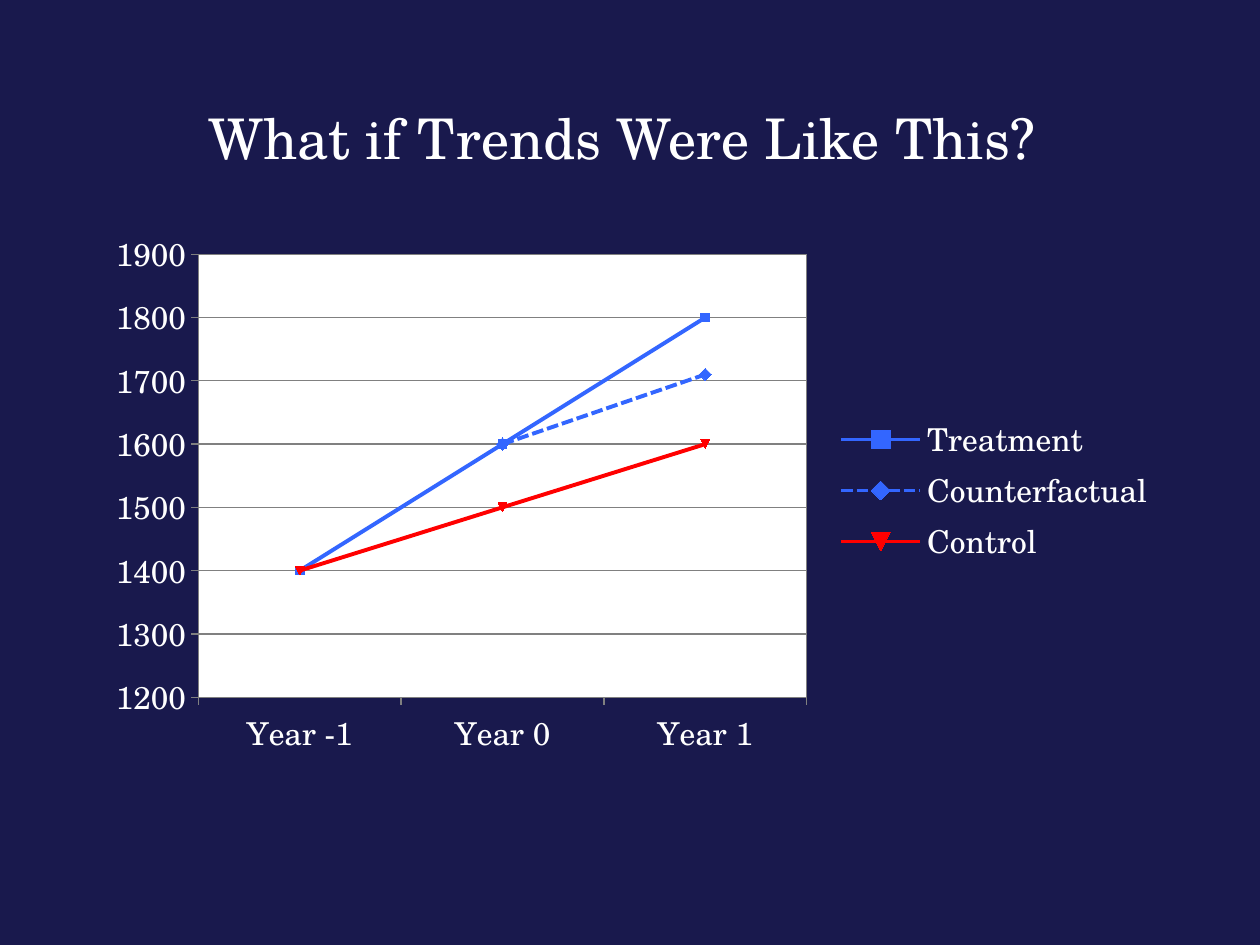
from dataclasses import dataclass
from typing import Optional

from lxml.etree import SubElement
from pptx import Presentation
from pptx.chart.data import CategoryChartData
from pptx.dml.color import RGBColor
from pptx.enum.chart import XL_CHART_TYPE as ChartType
from pptx.enum.chart import XL_LEGEND_POSITION as LegendPosition
from pptx.enum.chart import XL_MARKER_STYLE as Marker
from pptx.enum.chart import XL_TICK_MARK as Tick
from pptx.enum.dml import MSO_LINE as Dash
from pptx.enum.text import MSO_ANCHOR as Anchor
from pptx.enum.text import PP_ALIGN as Align
from pptx.oxml import parse_xml
from pptx.oxml.ns import nsdecls, qn
from pptx.util import Inches, Pt

NAVY = RGBColor(0x19, 0x19, 0x4D)
WHITE = RGBColor(0xFF, 0xFF, 0xFF)
BLUE = RGBColor(0x33, 0x66, 0xFF)
RED = RGBColor(0xFF, 0x00, 0x00)
GRAY = RGBColor(0x80, 0x80, 0x80)
FONT = "TeX Gyre Schola"


@dataclass
class Trend:
    name: str
    values: tuple[Optional[int], ...]
    color: RGBColor
    marker: Marker = Marker.AUTOMATIC
    marker_size: int = 5
    dash: Optional[Dash] = None


YEARS = ("Year -1", "Year 0", "Year 1")
TRENDS = (
    Trend("Treatment", (1400, 1600, 1800), BLUE),
    Trend("Counterfactual", (None, 1600, 1710), BLUE, Marker.DIAMOND, 7, Dash.SQUARE_DOT),
    Trend("Control", (1400, 1500, 1600), RED),
)


def place(shape, left: float, top: float, width: float, height: float) -> None:
    box = {"left": left, "top": top, "width": width, "height": height}
    for name, value in box.items():
        setattr(shape, name, Inches(value))


def style_font(font, size: float) -> None:
    for name, value in {"name": FONT, "size": Pt(size), "bold": False}.items():
        setattr(font, name, value)
    font.color.rgb = WHITE


def set_layout(parent, index: int, values: dict[str, object]) -> None:
    """Give a chart part a fixed place, in fractions of the chart."""
    for old in parent.findall(qn("c:layout")):
        parent.remove(old)
    layout = parse_xml(f"<c:layout {nsdecls('c')}/>")
    parent.insert(index, layout)
    manual = SubElement(layout, qn("c:manualLayout"))
    for name, value in values.items():
        SubElement(manual, qn(f"c:{name}")).set("val", str(value))


def style_trend(series, trend: Trend) -> None:
    series.smooth = False
    line = series.format.line
    line.width = Pt(2.25)
    line.color.rgb = trend.color
    if trend.dash is not None:
        line.dash_style = trend.dash
    marker = series.marker
    marker.style, marker.size = trend.marker, trend.marker_size
    marker.format.fill.solid()
    marker.format.fill.fore_color.rgb = trend.color
    marker.format.line.color.rgb = trend.color


def style_axis(axis) -> None:
    axis.major_tick_mark, axis.minor_tick_mark = Tick.OUTSIDE, Tick.NONE
    axis.format.line.color.rgb = GRAY
    style_font(axis.tick_labels.font, 18)


def add_trend_chart(slide) -> None:
    data = CategoryChartData(number_format="General")
    data.categories = YEARS
    for trend in TRENDS:
        data.add_series(trend.name, trend.values)
    box = [Inches(value) for value in (0.75, 1.75, 8.5, 4.33)]
    chart = slide.shapes.add_chart(ChartType.LINE_MARKERS, *box, data).chart
    style_font(chart.font, 18)
    chart.has_title = False

    # Lines and markers
    plot = chart.plots[0]
    plot.vary_by_categories = False
    for series, trend in zip(plot.series, TRENDS):
        style_trend(series, trend)

    # Axes and gridlines
    style_axis(chart.category_axis)
    value_axis = chart.value_axis
    style_axis(value_axis)
    scale = {"minimum_scale": 1200, "maximum_scale": 1900, "major_unit": 100,
             "has_major_gridlines": True}
    for name, value in scale.items():
        setattr(value_axis, name, value)
    value_axis.major_gridlines.format.line.color.rgb = GRAY

    # Legend
    chart.has_legend = True
    legend = chart.legend
    legend.position = LegendPosition.RIGHT
    legend.include_in_layout = False
    style_font(legend.font, 18)
    set_layout(legend._element, 1, {"xMode": "edge", "yMode": "edge",
                                    "x": 0.69, "y": 0.35, "w": 0.3, "h": 0.29})

    # White plot area
    plot_area = chart._chartSpace.chart.plotArea
    set_layout(plot_area, 0, {"layoutTarget": "inner", "xMode": "edge", "yMode": "edge",
                              "x": 0.097, "y": 0.062, "w": 0.568, "h": 0.812})
    plot_area.append(parse_xml(
        f"<c:spPr {nsdecls('c', 'a')}><a:solidFill><a:srgbClr val=\"{WHITE}\"/></a:solidFill>"
        f"<a:ln><a:solidFill><a:srgbClr val=\"{GRAY}\"/></a:solidFill></a:ln></c:spPr>"))


def add_title(slide, text: str) -> None:
    title = slide.shapes.title
    place(title, 0.75, 0.67, 8.5, 0.83)
    frame = title.text_frame
    frame.text = text
    frame.vertical_anchor = Anchor.MIDDLE
    paragraph = frame.paragraphs[0]
    paragraph.alignment = Align.CENTER
    style_font(paragraph.runs[0].font, 32)


def main() -> None:
    presentation = Presentation()
    presentation.slide_width, presentation.slide_height = Inches(10), Inches(7.5)
    slide = presentation.slides.add_slide(presentation.slide_layouts[5])
    slide.background.fill.solid()
    slide.background.fill.fore_color.rgb = NAVY
    add_title(slide, "What if Trends Were Like This? ")
    add_trend_chart(slide)
    presentation.save("out.pptx")


if __name__ == "__main__":
    main()
